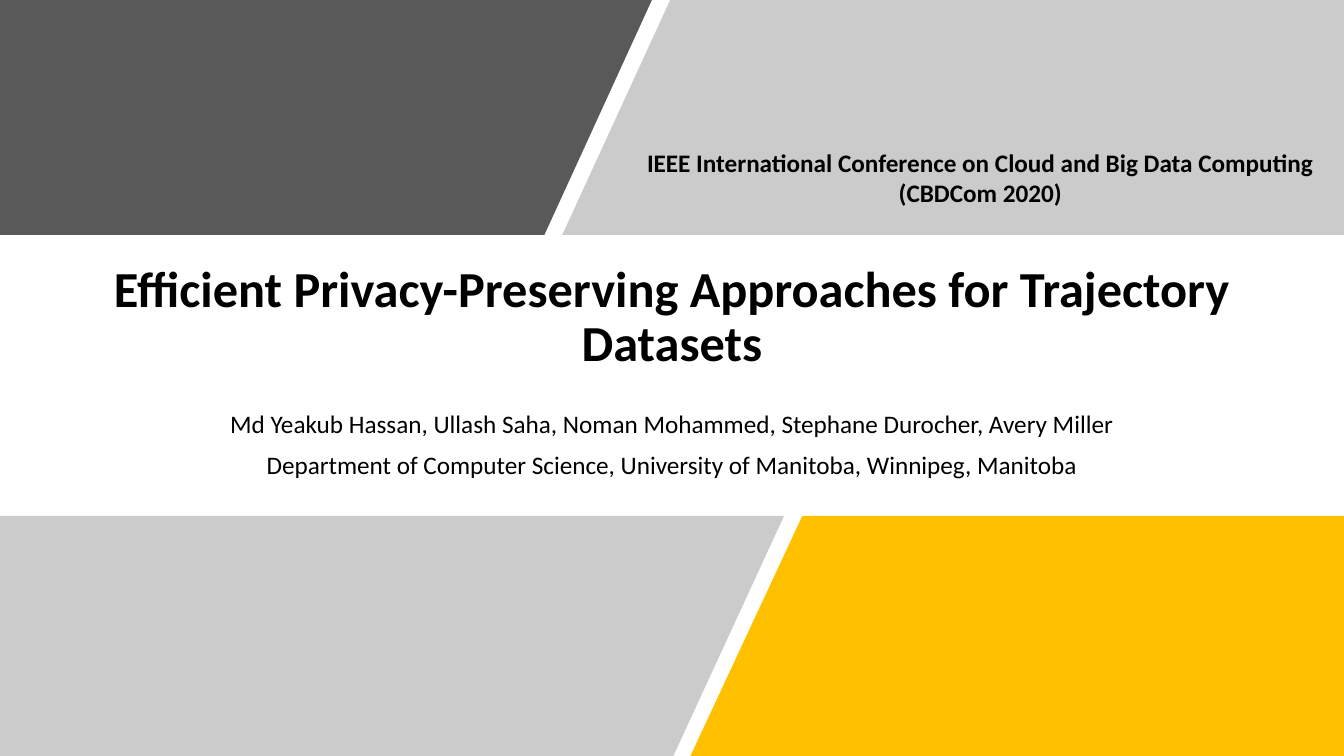
import pptx
import pptx.dml.color
import pptx.enum.text
import pptx.oxml.ns
import pptx.util
import lxml.etree

Cm = pptx.util.Cm
Pt = pptx.util.Pt
Anchor = pptx.enum.text.MSO_ANCHOR
AutoSize = pptx.enum.text.MSO_AUTO_SIZE

COLORS = {"dark": "595959", "grey": "7F7F7F", "gold": "FFC000",
          "white": "FFFFFF", "text": "000000"}
WIDTH, HEIGHT = 33.87, 19.05
TOP_BAND = (0, 5.92)
BOTTOM_BAND = (13, HEIGHT)


def add_text(para, text, size=18, bold=False, color="text", font="Calibri"):
    span = para.add_run()
    span.text = text
    span.font.name = font
    span.font.size = Pt(size)
    span.font.bold = bold
    span.font.color.rgb = pptx.dml.color.RGBColor.from_string(COLORS[color])


class SlideBuilder:
    """Holds the style and the slide being filled."""

    def __init__(self, page):
        self.page = page

    def panel(self, band, top_edge, bottom_edge, color, alpha=None):
        """Draw a slanted panel; each edge is its (left, right) in cm."""
        top, bottom = band
        outline = self.page.shapes.build_freeform(Cm(top_edge[0]), Cm(top))
        outline.add_line_segments([
            (Cm(top_edge[1]), Cm(top)),
            (Cm(bottom_edge[1]), Cm(bottom)),
            (Cm(bottom_edge[0]), Cm(bottom)),
        ], close=True)
        shape = outline.convert_to_shape()
        shape.shadow.inherit = False
        shape.line.fill.background()
        shape.fill.solid()
        shape.fill.fore_color.rgb = pptx.dml.color.RGBColor.from_string(COLORS[color])
        if alpha is not None:
            fill_color = shape.element.find(".//" + pptx.oxml.ns.qn("a:srgbClr"))
            lxml.etree.SubElement(fill_color, pptx.oxml.ns.qn("a:alpha"),
                                  val=str(alpha * 1000))

    def set_lines(self, box, lines, anchor=Anchor.TOP, line_spacing=None,
                  space_before=0, **text_format):
        frame = box.text_frame
        frame.word_wrap = True
        frame.auto_size = AutoSize.NONE
        frame.vertical_anchor = anchor
        for index, line in enumerate(lines):
            para = frame.add_paragraph() if index else frame.paragraphs[0]
            para.alignment = pptx.enum.text.PP_ALIGN.CENTER
            para.line_spacing = line_spacing
            para.space_before = Pt(space_before)
            add_text(para, line, **text_format)

    def placeholder(self, index, left, top, width, height, lines, **layout):
        box = self.page.placeholders[index]
        box.left, box.top, box.width, box.height = map(Cm, (left, top, width, height))
        self.set_lines(box, lines, line_spacing=0.9, **layout)

    def text_box(self, left, top, width, height, lines, **layout):
        box = self.page.shapes.add_textbox(*map(Cm, (left, top, width, height)))
        self.set_lines(box, lines, **layout)


def main():
    deck = pptx.Presentation()
    deck.slide_width, deck.slide_height = Cm(WIDTH), Cm(HEIGHT)
    builder = SlideBuilder(deck.slides.add_slide(deck.slide_layouts[0]))

    # Title and authors
    builder.placeholder(
        0, 0.69, 7.49, 32.49, 2.03,
        ["Efficient Privacy-Preserving Approaches for Trajectory Datasets"],
        anchor=Anchor.BOTTOM, size=36, bold=True)
    builder.placeholder(
        1, 0.69, 10.24, 32.49, 2.03,
        ["Md Yeakub Hassan, Ullash Saha, Noman Mohammed, Stephane Durocher, Avery Miller",
         "Department of Computer Science, University of Manitoba, Winnipeg, Manitoba"],
        space_before=10)

    # Top band
    builder.panel(TOP_BAND, (0, 16.43), (0, 13.72), "dark")
    builder.panel(TOP_BAND, (16.89, WIDTH), (14.17, WIDTH), "grey", alpha=40)

    # Bottom band
    builder.panel(BOTTOM_BAND, (19.89, 29.64), (17.09, 29.64), "white")
    builder.panel(BOTTOM_BAND, (20.22, WIDTH), (17.4, WIDTH), "gold")
    builder.panel(BOTTOM_BAND, (0, 19.76), (0, 16.97), "grey", alpha=40)

    # Conference name
    builder.text_box(
        15.93, 3.58, 17.55, 1.8,
        ["IEEE International Conference on Cloud and Big Data Computing (CBDCom 2020)"],
        bold=True)

    deck.save("out.pptx")


if __name__ == "__main__":
    main()
